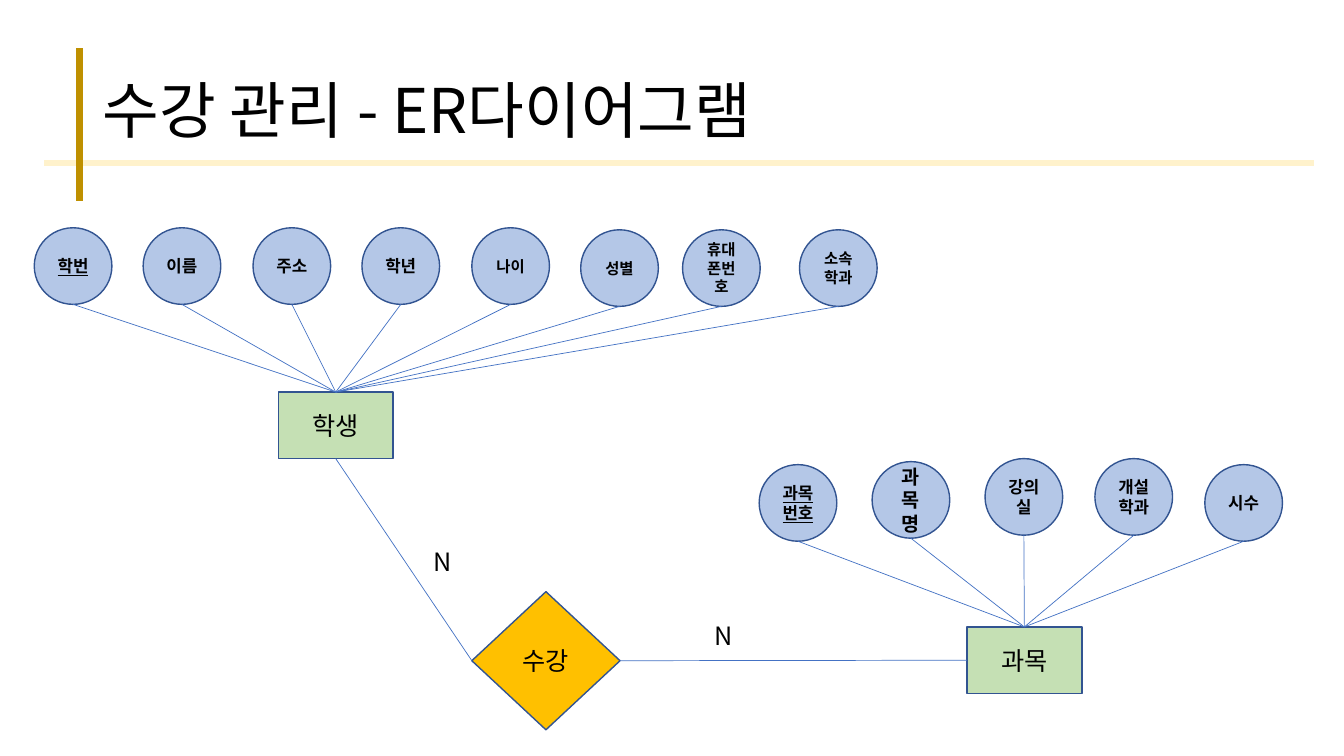
"""Build the course registration ER diagram slide."""
from pptx import Presentation
from pptx.dml.color import RGBColor
from pptx.enum.shapes import MSO_CONNECTOR as LINK, MSO_SHAPE as SHAPE
from pptx.enum.text import MSO_ANCHOR as ANCHOR, MSO_AUTO_SIZE as FIT, PP_ALIGN as ALIGN
from pptx.oxml.ns import qn
from pptx.util import Inches, Pt

FONT = "Noto Sans CJK KR"
BLACK = RGBColor(0x00, 0x00, 0x00)
OUTLINE = RGBColor(0x32, 0x54, 0x91)
LINK_BLUE = RGBColor(0x44, 0x72, 0xC4)
ATTRIBUTE_BLUE = RGBColor(0xB4, 0xC7, 0xE7)
ENTITY_GREEN = RGBColor(0xC5, 0xE0, 0xB4)
RELATION_GOLD = RGBColor(0xFF, 0xC0, 0x00)
PALE_GOLD = RGBColor(0xFF, 0xF2, 0xCC)
DARK_GOLD = RGBColor(0xBF, 0x90, 0x00)
TOP, LEFT, BOTTOM, RIGHT = range(4)
CIRCLE_W, CIRCLE_H = 0.77, 0.76

prs = Presentation()
prs.slide_width, prs.slide_height = Inches(13.33), Inches(7.5)
slide = prs.slides.add_slide(prs.slide_layouts[6])


def write(target, text, size, bold=False, underline=False):
    target.text_frame.text = text
    paragraph = target.text_frame.paragraphs[0]
    font = paragraph.runs[0].font
    font.name, font.size, font.bold, font.underline = FONT, Pt(size), bold, underline
    font.color.rgb = BLACK
    font._element.get_or_add_ea().set("typeface", FONT) if hasattr(font._element, "get_or_add_ea") else \
        paragraph.runs[0]._r.rPr.append(paragraph._p.makeelement(qn("a:ea"), {"typeface": FONT}))
    return paragraph


def draw_line(x1, y1, x2, y2, color=LINK_BLUE, width=0.5):
    line = slide.shapes.add_connector(LINK.STRAIGHT, Inches(x1), Inches(y1), Inches(x2), Inches(y2))
    line.line.color.rgb, line.line.width = color, Pt(width)
    properties = line._element.spPr
    properties.append(properties.makeelement(qn("a:effectLst"), {}))
    return line


student_attributes = [
    ("학번", 0.34, 2.26, 12), ("이름", 1.42, 2.26, 12), ("주소", 2.51, 2.26, 12),
    ("학년", 3.59, 2.26, 12), ("나이", 4.68, 2.26, 11), ("성별", 5.76, 2.28, 11),
    ("휴대폰번호", 6.77, 2.28, 11), ("소속학과", 7.93, 2.28, 11),
]
course_attributes = [
    ("과목번호", 7.53, 4.61, 12), ("과목명", 8.65, 4.58, 14), ("강의실", 9.77, 4.55, 12),
    ("개설학과", 10.86, 4.55, 12), ("시수", 11.95, 4.61, 12),
]
keys = {"학번", "과목번호"}

nodes = [
    ("학생", SHAPE.RECTANGLE, 2.76, 3.89, 1.14, 0.66, ENTITY_GREEN, 18),
    ("과목", SHAPE.RECTANGLE, 9.59, 6.22, 1.14, 0.66, ENTITY_GREEN, 18),
    ("수강", SHAPE.DIAMOND, 4.68, 5.87, 1.47, 1.37, RELATION_GOLD, 18),
]
for name, left, top, size in student_attributes + course_attributes:
    nodes.append((name, SHAPE.OVAL, left, top, CIRCLE_W, CIRCLE_H, ATTRIBUTE_BLUE, size))

drawn = {}
for name, kind, left, top, width, height, fill, size in nodes:
    node = slide.shapes.add_shape(kind, Inches(left), Inches(top), Inches(width), Inches(height))
    node.shadow.inherit = False
    node.fill.solid()
    node.fill.fore_color.rgb = fill
    node.line.color.rgb, node.line.width = OUTLINE, Pt(1)
    node.text_frame.vertical_anchor = ANCHOR.MIDDLE
    label = write(node, name, size, kind == SHAPE.OVAL, name in keys)
    label.alignment = ALIGN.CENTER
    drawn[name] = node

for entity, attributes in (("학생", student_attributes), ("과목", course_attributes)):
    for name, left, top, size in attributes:
        x, y = left + CIRCLE_W / 2, top + CIRCLE_H
        draw_line(x, y, x, y).end_connect(drawn[entity], TOP)

for start, start_site, end, end_site in (("학생", BOTTOM, "수강", LEFT), ("수강", RIGHT, "과목", LEFT)):
    relation = draw_line(0, 0, 1, 1)
    relation.begin_connect(drawn[start], start_site)
    relation.end_connect(drawn[end], end_site)

for left, top in ((4.2, 5.37), (6.99, 6.11)):
    cardinality = slide.shapes.add_textbox(Inches(left), Inches(top), Inches(0.39), Inches(0.4))
    write(cardinality, "N", 18)
    cardinality.text_frame.word_wrap = False
    cardinality.text_frame.auto_size = FIT.SHAPE_TO_FIT_TEXT

title = slide.shapes.add_textbox(Inches(0.92), Inches(0.4), Inches(11.5), Inches(1.45))
title.text_frame.word_wrap = True
title.text_frame.vertical_anchor = ANCHOR.MIDDLE
write(title, "수강 관리 - ER다이어그램", 44).line_spacing = 0.9

draw_line(0.44, 1.62, 13.03, 1.62, PALE_GOLD, 4.5)
draw_line(0.79, 0.48, 0.79, 1.99, DARK_GOLD, 4.5)

prs.save("out.pptx")
